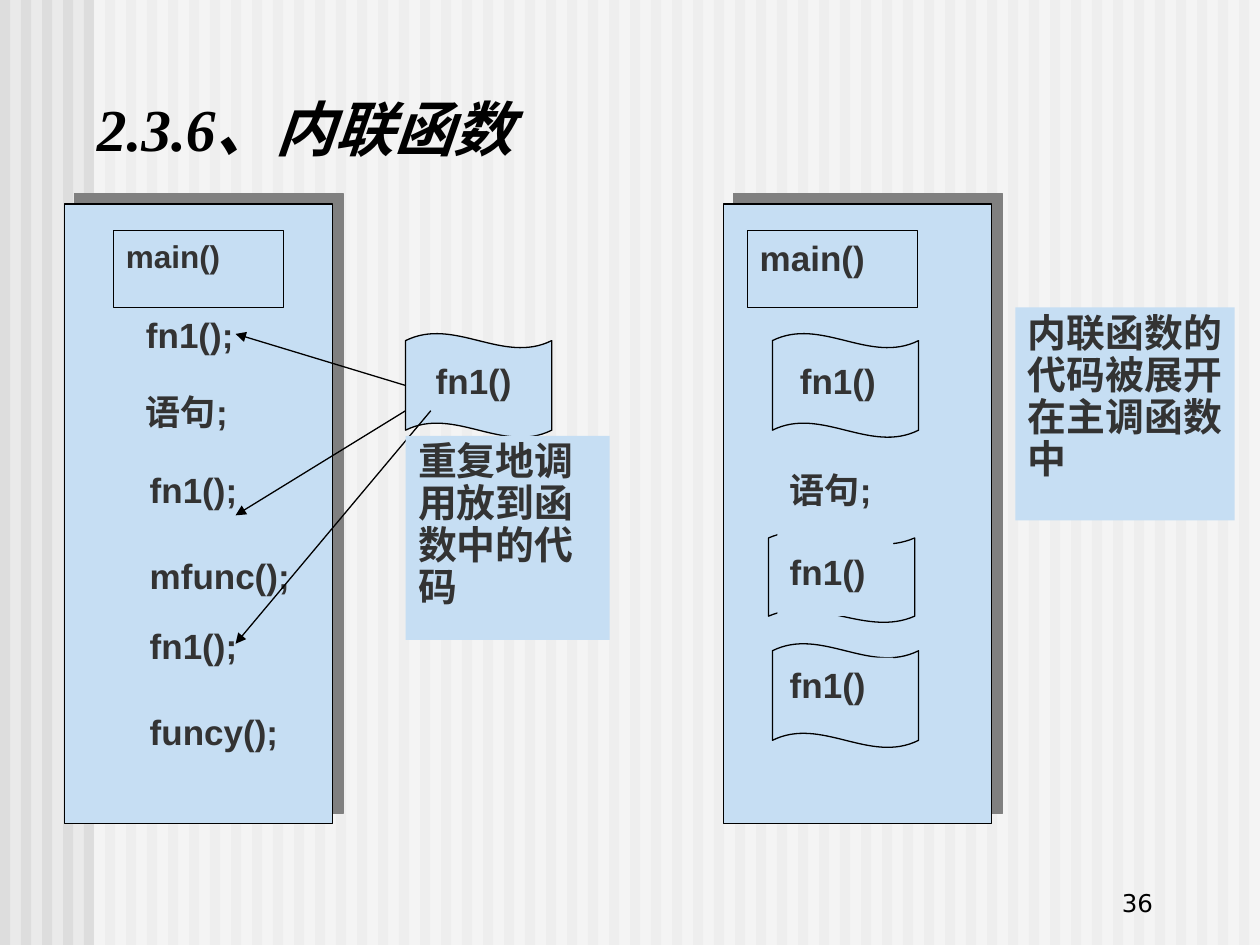
from lxml.etree import SubElement
from pptx import Presentation
from pptx.dml.color import RGBColor
from pptx.enum.shapes import MSO_CONNECTOR, MSO_SHAPE
from pptx.enum.text import MSO_ANCHOR, MSO_AUTO_SIZE, PP_ALIGN
from pptx.oxml.ns import qn
from pptx.util import Pt

SLIDE_W, SLIDE_H = 720, 540
STRIPE_COUNT, STRIPE_STEP, STRIPE_W = 60, 12, 5.8
BLUE, INK, BLACK = "C6DEF3", "333333", "000000"

TITLE = "2.3.6、内联函数"
PAGE_NUMBER = "36"

# Boxes are (left, top, width, height)
PANELS = [(36.7, 116.6, 153.4, 354.2), (413.3, 116.6, 153.4, 354.2)]

# Wave box, label box, label lines as (text, space before)
FUNCTION_BODIES = [
    ((231.8, 190.5, 83.5, 59.5), (241.9, 201.6, 59.8, 34.6), [("fn1()", 0)]),
    ((439.2, 303.8, 83.5, 52), (444.2, 264.2, 66.2, 87.8),
     [("语句;", 0), ("fn1()", 23)]),
    ((441.4, 367.7, 83.5, 59.5), (444.2, 375.8, 66.2, 34.6), [("fn1()", 0)]),
    ((441.4, 190.5, 83.5, 59.5), (450, 201.6, 60.5, 34.6), [("fn1()", 0)]),
]
CALLS = [
    ((76.3, 175.7, 106.6, 103), [("fn1();", 0), ("语句;", 20)]),
    ((78.5, 264.2, 97.9, 103.7), [("fn1();", 0), ("mfunc();", 25)]),
    ((78.5, 353.5, 97.9, 103), [("fn1();", 0), ("funcy();", 25)]),
]
MAINS = [((64.8, 131.8, 97.2, 43.9), 18), ((427, 131.8, 97.2, 43.9), 20)]
# Call site, function body
CALL_ARROWS = [
    ((134.6, 190.8), (231.8, 220.3)),
    ((134.6, 294.5), (231.8, 234.7)),
    ((134.6, 367.9), (246.2, 234.7)),
]
NOTES = [
    ((231.8, 249.1, 116.6, 116.6), "重复地调用放到函数中的代码"),
    ((580.3, 175.7, 125.3, 121.7), "内联函数的代码被展开在主调函数中"),
]


def rgb(color):
    return RGBColor.from_string(color)


def points(values):
    return [Pt(value) for value in values]


def add_block(box, fill=BLUE, outlined=False, kind=MSO_SHAPE.RECTANGLE):
    block = slide.shapes.add_shape(kind, *points(box))
    block.shadow.inherit = False
    block.fill.solid()
    block.fill.fore_color.rgb = rgb(fill)
    if outlined:
        block.line.color.rgb = rgb(BLACK)
        block.line.width = Pt(0.75)
    else:
        block.line.fill.background()
    return block


def write(shape, lines, size, font="Arial", color=INK, bold=True, italic=False,
          anchor=MSO_ANCHOR.TOP, align=PP_ALIGN.LEFT, spacing=None):
    frame = shape.text_frame
    frame.word_wrap = True
    frame.auto_size = MSO_AUTO_SIZE.NONE
    frame.vertical_anchor = anchor
    for index, (text, space_before) in enumerate(lines):
        paragraph = frame.add_paragraph() if index else frame.paragraphs[0]
        paragraph.alignment = align
        paragraph.space_before = Pt(space_before)
        if spacing:
            paragraph.line_spacing = spacing
        run = paragraph.add_run()
        run.text = text
        run.font.size, run.font.name = Pt(size), font
        run.font.bold, run.font.italic = bold, italic
        run.font.color.rgb = rgb(color)


def add_hard_shadow(shape):
    """Offset a solid grey shadow up and to the right."""
    effects = shape.element.spPr.find(qn("a:effectLst"))
    shadow = SubElement(effects, qn("a:outerShdw"), dist=str(Pt(8.5)),
                        dir="18900000", algn="ctr", rotWithShape="0")
    SubElement(shadow, qn("a:srgbClr"), val="808080")


def add_call_arrow(site, body):
    arrow = slide.shapes.add_connector(
        MSO_CONNECTOR.STRAIGHT, *points(site + body))
    arrow.line.color.rgb = rgb(BLACK)
    arrow.line.width = Pt(0.75)
    SubElement(arrow.line._get_or_add_ln(), qn("a:headEnd"), type="triangle")
    SubElement(arrow.element.spPr, qn("a:effectLst"))


prs = Presentation()
prs.slide_width, prs.slide_height = Pt(SLIDE_W), Pt(SLIDE_H)
slide = prs.slides.add_slide(prs.slide_layouts[5])
slide.background.fill.solid()
slide.background.fill.fore_color.rgb = rgb("EAEAEA")

for stripe in range(STRIPE_COUNT):
    add_block((stripe * STRIPE_STEP, 0, STRIPE_W, SLIDE_H), "DDDDDD")
veil = add_block((53.6, 0, SLIDE_W - 53.6, SLIDE_H), "FFFFFF")
veil_color = veil.element.spPr.find(qn("a:solidFill"))[0]
SubElement(veil_color, qn("a:alpha"), val="50000")

number = slide.shapes.add_textbox(*points((516.2, 491.8, 149.8, 36)))
write(number, [(PAGE_NUMBER, 0)], 14, "DejaVu Sans", BLACK, bold=False,
      anchor=MSO_ANCHOR.BOTTOM, align=PP_ALIGN.RIGHT)

title = slide.shapes.title
title.left, title.top, title.width, title.height = points((48.2, 49, 652.3, 48.2))
write(title, [(TITLE, 0)], 34, "Times New Roman", BLACK, italic=True)
title.element.getparent().append(title.element)  # in front of the stripes

for box in PANELS:
    add_hard_shadow(add_block(box, outlined=True))
for wave_box, label_box, lines in FUNCTION_BODIES:
    wave = add_block(wave_box, outlined=True, kind=MSO_SHAPE.WAVE)
    wave.adjustments[0] = 0.07
    write(add_block(label_box), lines, 20)
for box, lines in CALLS:
    write(add_block(box), lines, 20)
for box, size in MAINS:
    write(add_block(box, outlined=True), [("main()", 0)], size)
for site, body in CALL_ARROWS:
    add_call_arrow(site, body)
for box, note in NOTES:
    write(add_block(box), [(note, 0)], 22.2, spacing=0.9)

prs.save("out.pptx")
